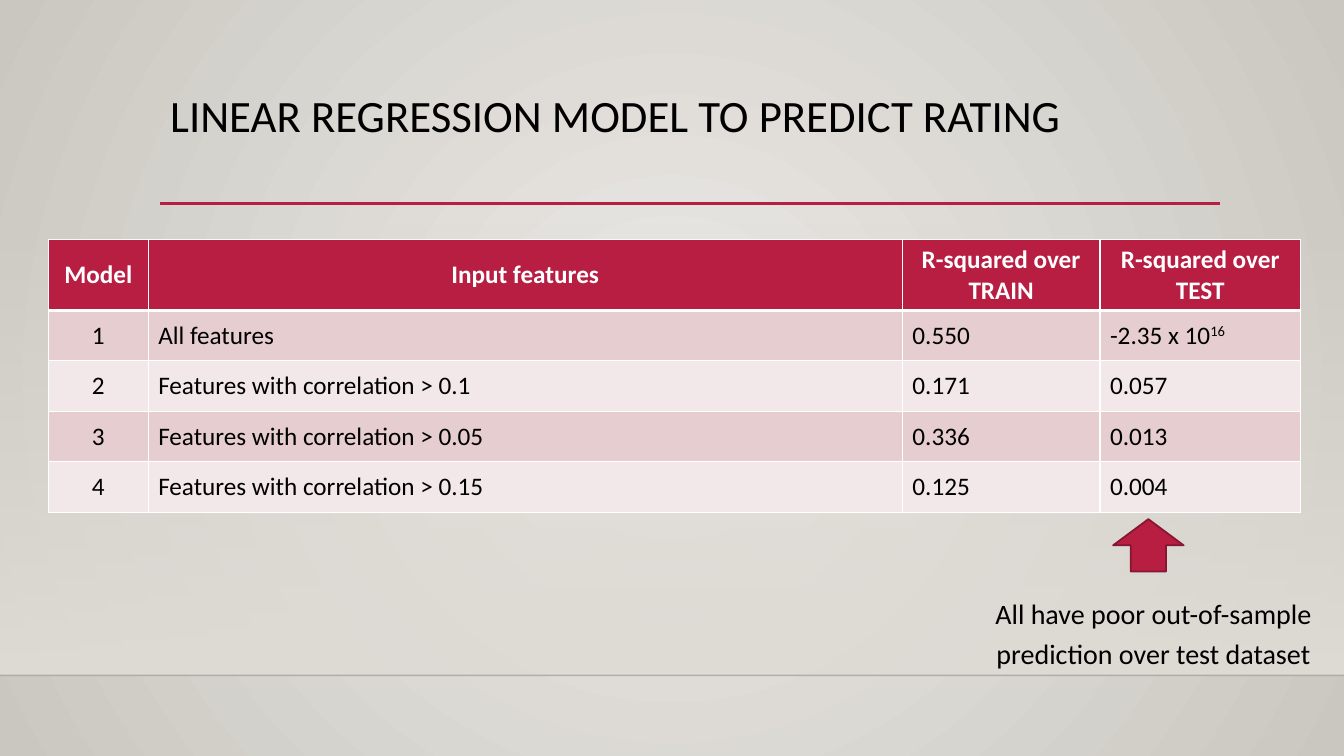
from lxml import etree
from pptx import Presentation
from pptx.dml.color import RGBColor
from pptx.enum.shapes import MSO_CONNECTOR, MSO_SHAPE
from pptx.enum.text import MSO_ANCHOR, PP_ALIGN
from pptx.oxml.ns import qn
from pptx.util import Inches, Pt

RECTANGLE, UP_ARROW = MSO_SHAPE.RECTANGLE, MSO_SHAPE.UP_ARROW
STRAIGHT = MSO_CONNECTOR.STRAIGHT
LEFT, CENTER = PP_ALIGN.LEFT, PP_ALIGN.CENTER
TOP, MIDDLE = MSO_ANCHOR.TOP, MSO_ANCHOR.MIDDLE

SLIDE_WIDTH, SLIDE_HEIGHT = 13.33, 7.5
HEADER = ["Model", "Input features", "R-squared over TRAIN", "R-squared over TEST"]
RESULTS = [
    ["1", "All features", "0.550", ("-2.35 x 10", "16")],
    ["2", "Features with correlation > 0.1", "0.171", "0.057"],
    ["3", "Features with correlation > 0.05", "0.336", "0.013"],
    ["4", "Features with correlation > 0.15", "0.125", "0.004"],
]


def color(hex_value):
    return RGBColor.from_string(hex_value)


def add_color(parent, hex_value, opacity=100):
    srgb = etree.SubElement(parent, qn("a:srgbClr"), val=hex_value)
    if opacity < 100:
        etree.SubElement(srgb, qn("a:alpha"), val=str(opacity * 1000))


def replace_with_gradient(solid_fill, stops, radial=False):
    """Swap a solid fill element for a gradient of (position, colour, opacity) stops."""
    gradient = etree.Element(qn("a:gradFill"), rotWithShape="1")
    stop_list = etree.SubElement(gradient, qn("a:gsLst"))
    for position, hex_value, opacity in stops:
        stop = etree.SubElement(stop_list, qn("a:gs"), pos=str(position * 1000))
        add_color(stop, hex_value, opacity)
    if radial:
        shade = etree.SubElement(gradient, qn("a:path"), path="circle")
        etree.SubElement(shade, qn("a:fillToRect"),
                         dict.fromkeys("ltrb", "50000"))
    else:
        etree.SubElement(gradient, qn("a:lin"), ang="5400000", scaled="0")
    solid_fill.getparent().replace(solid_fill, gradient)


class SlideBuilder:
    FONT = "Calibri"
    INK = "000000"
    ACCENT = "B71E42"
    ACCENT_DARK = "871631"
    WHITE = "FFFFFF"
    BANDS = ["E6CDCF", "F3E8E9"]
    FLOOR = "DFDBD5"

    def __init__(self, slide):
        self.slide = slide

    def background(self, inner, outer):
        self.slide.background.fill.solid()
        solid_fill = self.slide.element.find(".//" + qn("p:bgPr")).find(qn("a:solidFill"))
        replace_with_gradient(solid_fill, [(0, inner, 100), (100, outer, 100)], radial=True)

    def shape(self, kind, box, fill, outline=None, width=1.25):
        shape = self.slide.shapes.add_shape(kind, *map(Inches, box))
        shape.shadow.inherit = False
        shape.fill.solid()
        shape.fill.fore_color.rgb = color(fill)
        if outline:
            shape.line.color.rgb = color(outline)
            shape.line.width = Pt(width)
        else:
            shape.line.fill.background()
        return shape

    def fading_panel(self, box):
        panel = self.shape(RECTANGLE, box, self.FLOOR)
        solid_fill = panel.element.spPr.find(qn("a:solidFill"))
        replace_with_gradient(solid_fill, [(0, self.FLOOR, 0), (100, self.FLOOR, 100)])

    def rule(self, left, right, y, hex_value, width, opacity=100):
        rule = self.slide.shapes.add_connector(
            STRAIGHT, Inches(left), Inches(y), Inches(right), Inches(y))
        rule.line.width = Pt(width)
        rule.line.fill.solid()
        rule.line.color.rgb = color(hex_value)
        properties = rule.element.spPr
        if opacity < 100:
            srgb = properties.find(".//" + qn("a:srgbClr"))
            etree.SubElement(srgb, qn("a:alpha"), val=str(opacity * 1000))
        etree.SubElement(properties, qn("a:effectLst"))

    def style_runs(self, paragraph, size, hex_value, bold=False):
        for run in paragraph.runs:
            run.font.name = self.FONT
            run.font.size = Pt(size)
            run.font.bold = bold
            run.font.color.rgb = color(hex_value)

    def text(self, box, wording, size, align=LEFT, line_spacing=1.0, space_before=0):
        frame = self.slide.shapes.add_textbox(*map(Inches, box)).text_frame
        frame.word_wrap = True
        frame.vertical_anchor = TOP
        frame.text = wording
        paragraph = frame.paragraphs[0]
        paragraph.alignment = align
        paragraph.line_spacing = line_spacing
        paragraph.space_before = Pt(space_before)
        self.style_runs(paragraph, size, self.INK)

    def cell_borders(self, cell, top, bottom):
        properties = cell._tc.get_or_add_tcPr()
        for side, width in (("L", 1), ("R", 1), ("T", top), ("B", bottom)):
            border = etree.SubElement(properties, qn(f"a:ln{side}"), w=str(Pt(width)))
            add_color(etree.SubElement(border, qn("a:solidFill")), self.WHITE)

    def cell(self, cell, content, row, column):
        """Fill one cell; a tuple holds the wording and its superscript."""
        is_header = row == 0
        wording, exponent = content if isinstance(content, tuple) else (content, "")
        self.cell_borders(cell, 3 if row == 1 else 1, 3 if is_header else 1)
        cell.fill.solid()
        cell.fill.fore_color.rgb = color(
            self.ACCENT if is_header else self.BANDS[(row - 1) % 2])
        cell.vertical_anchor = MIDDLE
        cell.text_frame.text = wording
        paragraph = cell.text_frame.paragraphs[0]
        paragraph.alignment = CENTER if is_header or column == 0 else LEFT
        if exponent:
            superscript = paragraph.add_run()
            superscript.text = exponent
            superscript.font._element.set("baseline", "30000")
        self.style_runs(paragraph, 18, self.WHITE if is_header else self.INK, is_header)

    def table(self, left, top, widths, heights, rows):
        table = self.slide.shapes.add_table(
            len(rows), len(widths), Inches(left), Inches(top),
            Inches(sum(widths)), Inches(sum(heights))).table
        table.horz_banding = False
        for column, width in zip(table.columns, widths):
            column.width = Inches(width)
        for table_row, height in zip(table.rows, heights):
            table_row.height = Inches(height)
        for r, contents in enumerate(rows):
            for c, content in enumerate(contents):
                self.cell(table.cell(r, c), content, r, c)


def main():
    presentation = Presentation()
    presentation.slide_width = Inches(SLIDE_WIDTH)
    presentation.slide_height = Inches(SLIDE_HEIGHT)
    builder = SlideBuilder(presentation.slides.add_slide(presentation.slide_layouts[6]))

    builder.background("ECEAE7", "CAC7C1")
    builder.fading_panel((0, 2.21, SLIDE_WIDTH, 4.49))
    builder.rule(0, SLIDE_WIDTH, 6.7, "000001", 1, opacity=20)
    builder.rule(1.59, 12.1, 2.02, builder.ACCENT, 2.5)
    builder.text((1.59, 0.88, 10.5, 1.15), "LINEAR REGRESSION MODEL TO PREDICT RATING",
                 32, line_spacing=0.9)
    builder.table(0.48, 2.38, [0.99, 7.48, 1.96, 1.99],
                  [0.7] + [0.5] * len(RESULTS), [HEADER] + RESULTS)
    builder.text((9.65, 5.8, 3.58, 0.98),
                 "All have poor out-of-sample prediction over test dataset",
                 20, CENTER, line_spacing=1.2, space_before=10)
    builder.shape(UP_ARROW, (11.04, 5.15, 0.7, 0.52), builder.ACCENT, builder.ACCENT_DARK)

    presentation.save("out.pptx")


if __name__ == "__main__":
    main()
